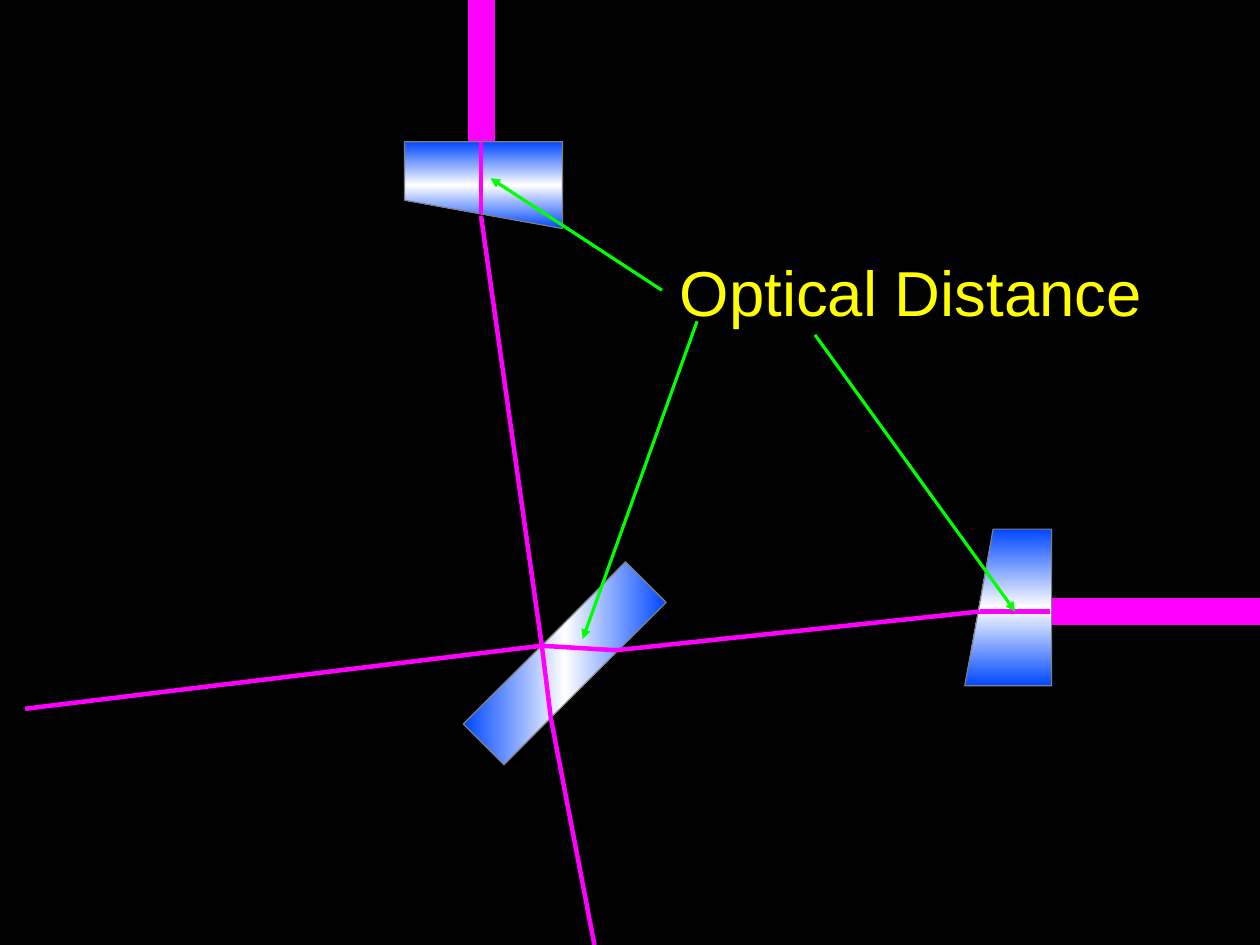
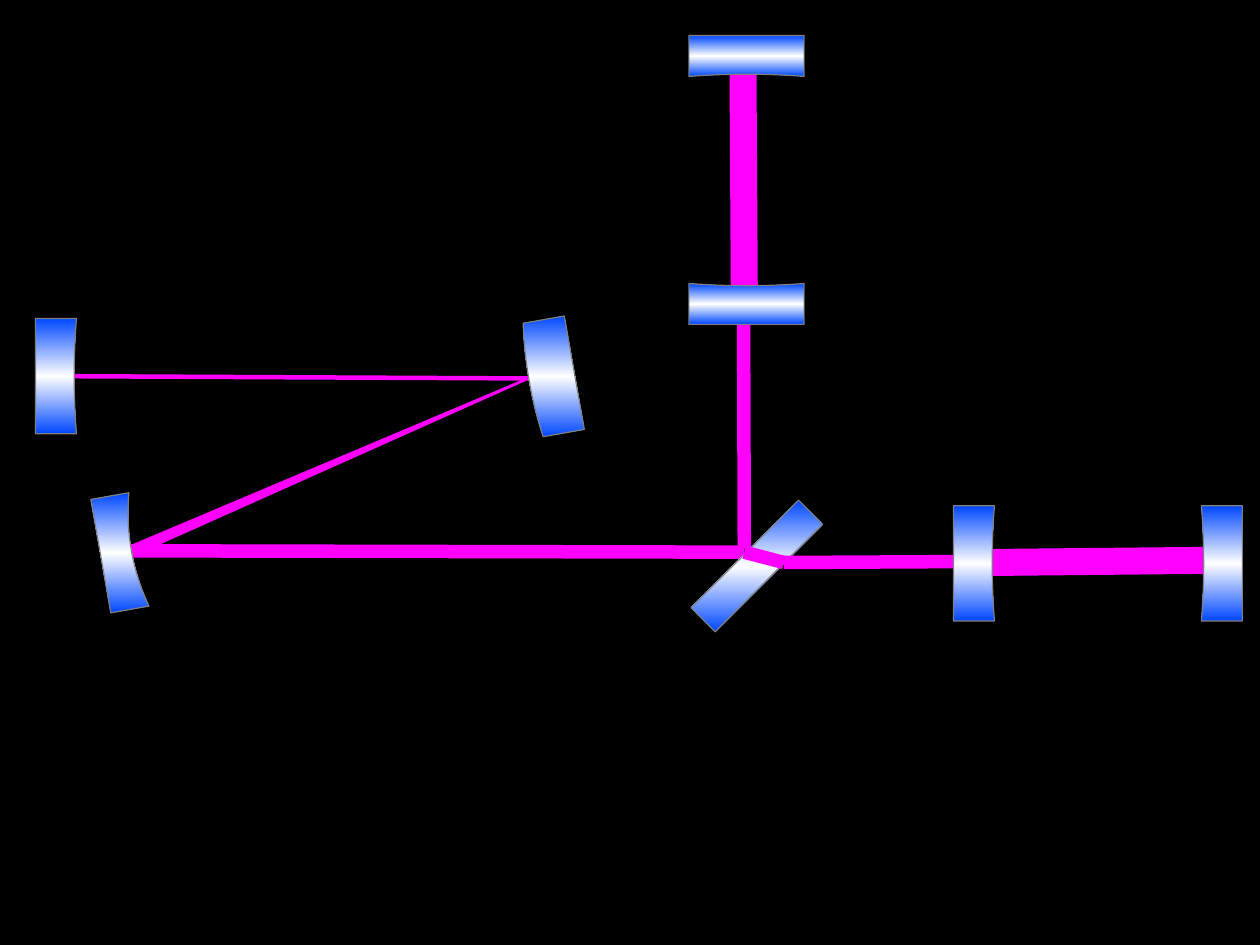
from math import cos, radians, sin

from lxml import etree
from pptx import Presentation
from pptx.dml.color import RGBColor
from pptx.enum.shapes import MSO_CONNECTOR, MSO_SHAPE
from pptx.enum.text import MSO_AUTO_SIZE, MSO_VERTICAL_ANCHOR
from pptx.oxml import parse_xml
from pptx.oxml.ns import nsdecls, qn
from pptx.util import Cm, Pt

STRAIGHT = MSO_CONNECTOR.STRAIGHT
RECTANGLE = MSO_SHAPE.RECTANGLE
FIT_SHAPE = MSO_AUTO_SIZE.SHAPE_TO_FIT_TEXT
TOP = MSO_VERTICAL_ANCHOR.TOP

BLACK, MAGENTA, GREEN, YELLOW = "000000", "FF00FF", "00FF00", "FFFF00"
BLUE, WHITE, GREY = "0047FF", "FFFFFF", "808080"
FONT = "Arial"

# Beam widths and mirror sizes in cm
THICK, MEDIUM, THIN = 0.6, 0.3, 0.1
MIRROR_HEIGHT = 2.56
FACE_STEPS = 12


def rgb(value):
    return RGBColor.from_string(value)


def glass(sp, angle=90):
    """Give a shape the blue-white-blue gradient, fixed to the slide's axes."""
    stops = "".join(
        f'<a:gs pos="{pos}"><a:srgbClr val="{color}"/></a:gs>'
        for pos, color in ((0, BLUE), (50000, WHITE), (100000, BLUE)))
    grad = parse_xml(
        f'<a:gradFill {nsdecls("a")} rotWithShape="0"><a:gsLst>{stops}</a:gsLst>'
        f'<a:lin ang="{angle * 60000}" scaled="0"/></a:gradFill>')
    sp.shadow.inherit = False
    sp.line.color.rgb = rgb(GREY)
    sp.line.width = Pt(0)
    sp._element.spPr.find(qn("a:ln")).addprevious(grad)


def add_line(s, start, end, color, width):
    line = s.shapes.add_connector(STRAIGHT, *(Cm(v) for v in start + end))
    line.line.color.rgb = rgb(color)
    line.line.width = Cm(width)
    etree.SubElement(line._element.spPr, qn("a:effectLst"))
    return line


def add_beams(s, width, *segments):
    for start, end in segments:
        add_line(s, start, end, MAGENTA, width)


def add_arrow(s, start, end):
    arrow = add_line(s, start, end, GREEN, 0)
    etree.SubElement(arrow.line._get_or_add_ln(), qn("a:tailEnd"), type="triangle")


def add_polygon(s, points):
    first, *rest = [(Cm(x), Cm(y)) for x, y in points]
    builder = s.shapes.build_freeform(*first)
    builder.add_line_segments(rest, close=True)
    return builder.convert_to_shape()


def add_plate(s, center, width, height, angle):
    """Beam splitter: a glass plate turned by 45 degrees about its centre."""
    x, y = center
    sp = s.shapes.add_shape(RECTANGLE, Cm(x - width / 2), Cm(y - height / 2),
                            Cm(width), Cm(height))
    sp.rotation = 45
    glass(sp, angle)


def add_mirror(s, face, facing, depth=0.86, sag=0.05):
    """Mirror with the middle of its curved face at a point, turned clockwise.

    A positive sag makes the face concave, a negative one convex.
    """
    half = MIRROR_HEIGHT / 2
    offsets = [2 * i / FACE_STEPS - 1 for i in range(FACE_STEPS + 1)]
    outline = [(sag * t * t, half * t) for t in offsets]
    outline += [(-depth, half), (-depth, -half)]
    c, n = cos(radians(facing)), sin(radians(facing))
    x, y = face
    glass(add_polygon(s, [(x + u * c - v * n, y + u * n + v * c) for u, v in outline]))


def add_label(s, text, left, top, width, height):
    tf = s.shapes.add_textbox(Cm(left), Cm(top), Cm(width), Cm(height)).text_frame
    tf.word_wrap = False
    tf.auto_size = FIT_SHAPE
    tf.vertical_anchor = TOP
    r = tf.paragraphs[0].add_run()
    r.text = text
    r.font.name = FONT
    r.font.size = Pt(40)
    r.font.color.rgb = rgb(YELLOW)


def optical_distance(s):
    top_port, right_port = (10.69, 3.15), (23.34, 13.59)
    split, right_exit, lower_exit = (12.04, 14.35), (13.69, 14.45), (12.24, 15.95)
    right_face = (21.77, 13.59)

    add_beams(s, THICK, (top_port, (10.69, 0)), (right_port, (28, 13.59)))
    add_plate(s, (12.55, 14.74), 1.28, 5.1, 180)
    for wedge in (
        [(22.07, 11.76), (23.37, 11.76), (23.37, 15.24), (21.44, 15.24)],
        [(8.99, 4.45), (8.99, 3.15), (12.5, 3.15), (12.5, 5.08)],
    ):
        glass(add_polygon(s, wedge))
    add_beams(s, THIN,
              (right_port, right_face), (right_exit, right_face),
              (top_port, (10.69, 4.75)), ((10.69, 4.8), split),
              (right_exit, split), (lower_exit, split),
              (lower_exit, (13.21, 21)), ((0.56, 15.75), split))

    add_label(s, "Optical Distance", 14.86, 5.49, 10.77, 1.83)
    add_arrow(s, (14.71, 6.45), (10.9, 3.96))
    add_arrow(s, (15.49, 7.14), (12.95, 14.2))
    add_arrow(s, (18.11, 7.44), (22.56, 13.59))


def folded_path(s):
    split, plate_exit, end = (16.54, 12.27), (17.42, 12.5), (27, 12.45)

    add_beams(s, THICK, ((21.95, 12.5), end))
    taper = add_polygon(s, [(2.95, 12.37), (2.84, 12.14), (11.79, 8.36), (11.81, 8.41)])
    taper.shadow.inherit = False
    taper.fill.solid()
    taper.fill.fore_color.rgb = rgb(MAGENTA)
    taper.line.fill.background()
    add_beams(s, MEDIUM, ((2.9, 12.24), split))
    add_plate(s, (16.82, 12.58), 0.76, 3.38, 90)
    add_beams(s, MEDIUM, (plate_exit, split), (plate_exit, end),
              ((16.54, 12.19), (16.51, 2.62)))
    add_beams(s, THICK, ((16.54, 6.45), (16.51, 1.4)))
    add_beams(s, THIN, ((1.57, 8.36), (11.76, 8.41)))

    for face, facing in (((1.65, 8.36), 0), ((22.05, 12.52), 0), ((26.75, 12.52), 180),
                         ((16.59, 6.35), -90), ((16.59, 1.65), 90)):
        add_mirror(s, face, facing)
    add_mirror(s, (11.76, 8.46), 170, depth=1.02, sag=-0.09)
    add_mirror(s, (2.92, 12.24), -10, depth=0.69, sag=0.17)


def main():
    prs = Presentation()
    prs.slide_width, prs.slide_height = Cm(28), Cm(21)
    background = prs.slide_master.background.fill
    background.solid()
    background.fore_color.rgb = rgb(BLACK)
    for build in (optical_distance, folded_path):
        build(prs.slides.add_slide(prs.slide_layouts[6]))
    prs.save("out.pptx")


if __name__ == "__main__":
    main()
